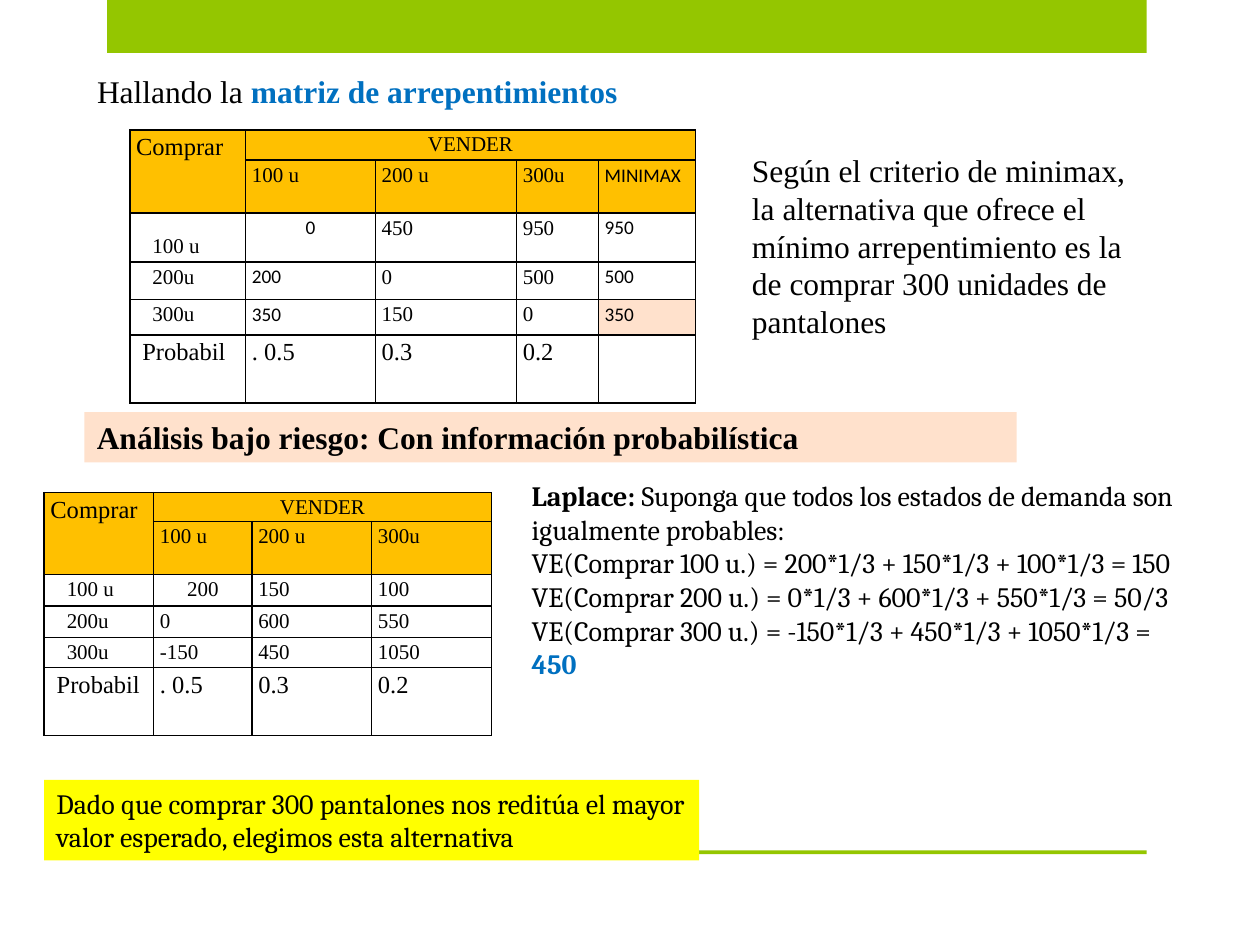
from dataclasses import dataclass, field
from typing import Any, NamedTuple

from lxml.etree import SubElement
from pptx import Presentation
from pptx.dml.color import RGBColor
from pptx.enum.shapes import MSO_SHAPE
from pptx.enum.text import MSO_ANCHOR, MSO_AUTO_SIZE, PP_ALIGN
from pptx.oxml import parse_xml
from pptx.oxml.ns import nsdecls, qn
from pptx.util import Inches, Pt

WIDE, HIGH = Inches(10), Inches(7.5)


@dataclass(frozen=True)
class Theme:
    green: str = "94C600"
    gold: str = "FFC000"
    peach: str = "FFE1CC"
    yellow: str = "FFFF00"
    blue: str = "0070C0"
    black: str = "000000"
    serif: str = "Times New Roman"
    book: str = "Cambria"
    sans: str = "Calibri"
    head: int = 18
    body: int = 16
    label: int = 14
    cell: int = 12
    small: int = 11


THEME = Theme()


class Box(NamedTuple):
    """Left, top, width and height in percent of the slide."""
    left: float
    top: float
    width: float
    height: float

    def place(self) -> dict[str, int]:
        return {"left": int(WIDE * self.left / 100), "top": int(HIGH * self.top / 100),
                "width": int(WIDE * self.width / 100), "height": int(HIGH * self.height / 100)}


class Run(NamedTuple):
    text: str
    bold: bool = False
    color: str = THEME.black


@dataclass
class Matrix:
    """A payoff table; columns and rows are shares of its box."""
    box: Box
    cols: tuple[int, ...]
    rows: tuple[int, ...]
    data: list[list[str]]
    sans: set[tuple[int, int]] = field(default_factory=set)
    marked: set[tuple[int, int]] = field(default_factory=set)
    low: set[tuple[int, int]] = field(default_factory=set)


def apply(item: Any, form: dict[str, Any]) -> None:
    for name, value in form.items():
        setattr(item, name, value)


def add_run(para: Any, run: Run, size: int, face: str) -> None:
    part = para.add_run()
    part.text = run.text
    apply(part.font, {"name": face, "size": Pt(size), "bold": run.bold})
    part.font.color.rgb = RGBColor.from_string(run.color)


def write(shape: Any, lines: list[list[Run]], size: int, face: str, wrap: bool = True) -> None:
    frame = shape.text_frame
    apply(frame, {"word_wrap": wrap, "auto_size": MSO_AUTO_SIZE.NONE,
                  "vertical_anchor": MSO_ANCHOR.TOP})
    for row, line in enumerate(lines):
        para = frame.add_paragraph() if row else frame.paragraphs[0]
        apply(para, {"alignment": PP_ALIGN.LEFT, "space_before": Pt(0)})
        for run in line:
            add_run(para, run, size, face)


def add_block(slide: Any, box: Box, color: str) -> Any:
    shape = slide.shapes.add_shape(MSO_SHAPE.RECTANGLE, **box.place())
    shape.shadow.inherit = False
    shape.fill.solid()
    shape.fill.fore_color.rgb = RGBColor.from_string(color)
    shape.line.fill.background()
    return shape


def add_edges(cell: Any) -> None:
    props = cell._tc.get_or_add_tcPr()
    for spot, side in enumerate(("lnL", "lnR", "lnT", "lnB")):
        props.insert(spot, parse_xml(
            f'<a:{side} {nsdecls("a")} w="12700"><a:solidFill>'
            f'<a:srgbClr val="{THEME.black}"/></a:solidFill></a:{side}>'))


def fill_cell(cell: Any, spot: tuple[int, int], grid: Matrix) -> None:
    row, col = spot
    text, last = grid.data[row][col], len(grid.rows) - 1
    apply(cell, {"margin_left": Inches(0.05), "margin_right": Inches(0.05),
                 "margin_top": Inches(0.15 if spot in grid.low else 0), "margin_bottom": 0})
    color = THEME.gold if row < 2 else THEME.peach if spot in grid.marked else None
    if color:
        cell.fill.solid()
        cell.fill.fore_color.rgb = RGBColor.from_string(color)
    else:
        cell.fill.background()
    add_edges(cell)
    para = cell.text_frame.paragraphs[0]
    para.line_spacing = 1.15
    if not text:
        SubElement(para._p, qn("a:endParaRPr")).set("sz", "800")
        return
    if spot in ((0, 1), (2, 1)):
        para.alignment = PP_ALIGN.CENTER
    if col == 0 and row > 1:
        para._p.get_or_add_pPr().set("marL", str(Inches(0.05 if row == last else 0.13)))
    big = row == last or spot == (0, 0)
    plain = spot in grid.sans
    size = THEME.label if big else THEME.small if plain else THEME.cell
    add_run(para, Run(text), size, THEME.sans if plain else THEME.serif)


def add_matrix(slide: Any, grid: Matrix) -> None:
    place = grid.box.place()
    table = slide.shapes.add_table(len(grid.rows), len(grid.cols), **place).table
    apply(table, {"first_row": False, "horz_banding": False})
    for col, share in zip(table.columns, grid.cols):
        col.width = int(place["width"] * share / sum(grid.cols))
    for row, share in zip(table.rows, grid.rows):
        row.height = int(place["height"] * share / sum(grid.rows))
    for row in range(len(grid.rows)):
        for col in range(len(grid.cols)):
            fill_cell(table.cell(row, col), (row, col), grid)
    table.cell(0, 0).merge(table.cell(1, 0))
    table.cell(0, 1).merge(table.cell(0, len(grid.cols) - 1))


REGRET = Matrix(
    Box(10.3, 13.73, 44.9, 28.93), (92, 103, 112, 65, 77), (24, 42, 39, 30, 28, 54),
    [["Comprar", "VENDER", "", "", ""],
     ["", "100 u", "200 u", "300u", "MINIMAX"],
     ["100 u", "0", "450", "950", "950"],
     ["200u", "200", "0", "500", "500"],
     ["300u", "350", "150", "0", "350"],
     ["Probabil", ". 0.5", "0.3", "0.2", ""]],
    sans={(1, 4)} | {(row, col) for row in (2, 3, 4) for col in (1, 4)},
    marked={(4, 4)}, low={(2, 0)})

PAYOFF = Matrix(
    Box(3.5, 52.13, 35.5, 25.73), (87, 78, 95, 95), (23, 42, 25, 25, 24, 54),
    [["Comprar", "VENDER", "", ""],
     ["", "100 u", "200 u", "300u"],
     ["100 u", "200", "150", "100"],
     ["200u", "0", "600", "550"],
     ["300u", "-150", "450", "1050"],
     ["Probabil", ". 0.5", "0.3", "0.2"]])

LAPLACE = [
    [Run("Laplace: ", True),
     Run("Suponga que todos los estados de demanda son igualmente probables:")],
    [Run("VE(Comprar 100 u.) = 200*1/3 + 150*1/3 + 100*1/3 = 150")],
    [Run("VE(Comprar 200 u.) = 0*1/3 + 600*1/3 + 550*1/3 = 50/3")],
    [Run("VE(Comprar 300 u.) = -150*1/3 + 450*1/3 + 1050*1/3 = "),
     Run("450", True, THEME.blue)]]


def main() -> None:
    deck = Presentation()
    apply(deck, {"slide_width": WIDE, "slide_height": HIGH})
    slide = deck.slides.add_slide(deck.slide_layouts[1])

    # Green band and rule
    for box in (Box(8.5, 0, 82.5, 5.6), Box(8.5, 90, 82.5, 0.4)):
        add_block(slide, box, THEME.green)

    # Title and Laplace list
    title, body = slide.placeholders
    apply(title, Box(6.7, 6.93, 43.8, 5.33).place())
    write(title, [[Run("Hallando la "), Run("matriz de arrepentimientos", True, THEME.blue)]],
          THEME.head, THEME.serif, wrap=False)
    apply(body, Box(41.2, 50, 53.7, 30.13).place())
    write(body, LAPLACE, THEME.body, THEME.book)
    for para in body.text_frame.paragraphs:
        props = para._p.get_or_add_pPr()
        apply_indent = {"marL": "0", "indent": "0"}
        props.attrib.update(apply_indent)
        SubElement(props, qn("a:buNone"))

    # Regret matrix and its reading
    add_matrix(slide, REGRET)
    note = slide.shapes.add_textbox(**Box(58.7, 15.33, 32.7, 21.6).place())
    write(note, [[Run("Según el criterio de minimax, la alternativa que ofrece el mínimo "
                      "arrepentimiento es la de comprar 300 unidades de pantalones")]],
          THEME.head, THEME.serif)

    # Risk heading, payoff matrix and conclusion
    risk = add_block(slide, Box(6.7, 43.6, 74, 5.33), THEME.peach)
    write(risk, [[Run("Análisis bajo riesgo: Con información probabilística", True)]],
          THEME.head, THEME.serif)
    add_matrix(slide, PAYOFF)
    final = add_block(slide, Box(3.5, 82.53, 52, 8.53), THEME.yellow)
    write(final, [[Run("Dado que comprar 300 pantalones nos reditúa el mayor valor esperado, "
                       "elegimos esta alternativa")]], THEME.body, THEME.book)

    deck.save("out.pptx")


if __name__ == "__main__":
    main()
